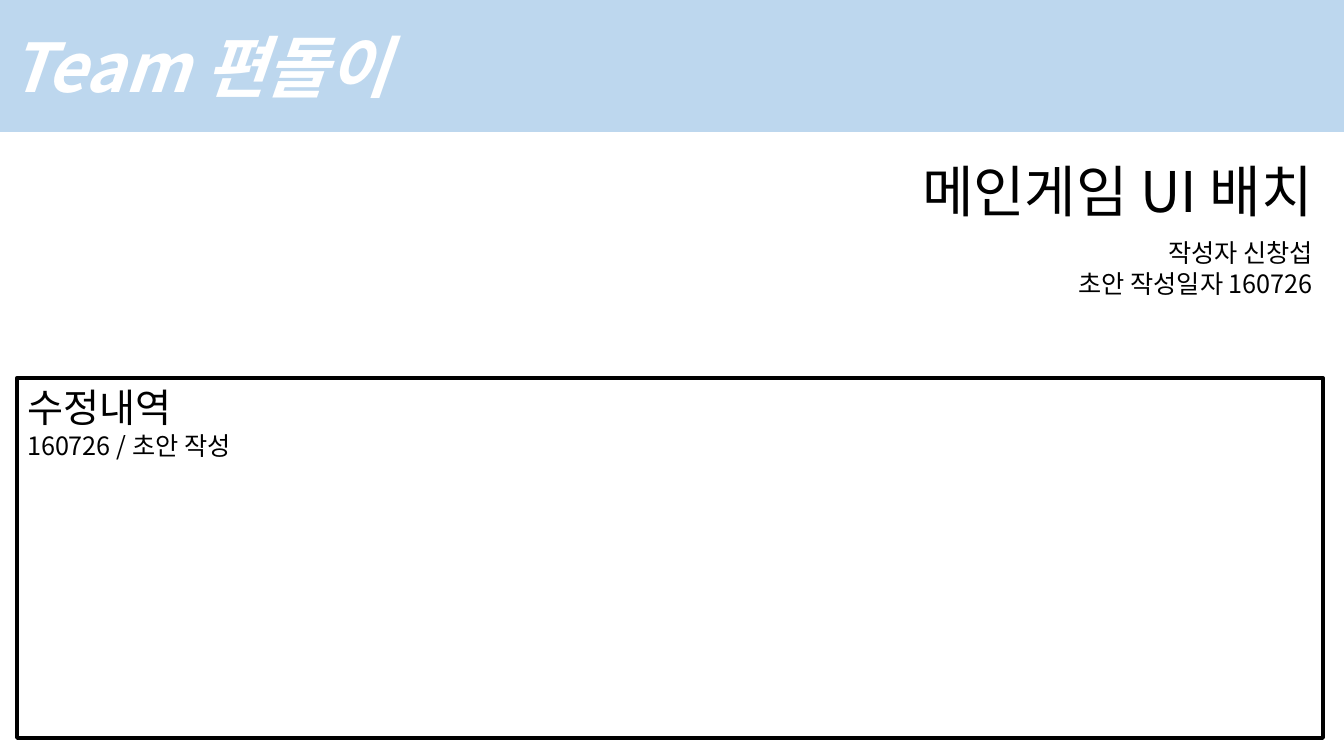
from pptx import Presentation
from pptx.dml.color import RGBColor
from pptx.enum.shapes import MSO_SHAPE as Shape
from pptx.enum.text import MSO_ANCHOR as Anchor, MSO_AUTO_SIZE as AutoSize, PP_ALIGN as Align
from pptx.oxml.ns import qn
from pptx.util import Inches, Pt
from lxml import etree

THEME = {
    "font": "Noto Sans CJK KR",
    "ink": RGBColor.from_string("000000"),
    "paper": RGBColor.from_string("FFFFFF"),
    "band": RGBColor.from_string("BDD7EE"),
    "team": 48, "title": 40, "heading": 28, "body": 18, "border": 3,
}

# Content: each line is its text and its type size role
TEAM = [("Team 편돌이", "team")]
TITLE = [("메인게임 UI 배치", "title")]
AUTHOR = [("작성자 신창섭", "body"), ("초안 작성일자 160726", "body")]
HISTORY = [("수정내역", "heading"), ("160726 / 초안 작성", "body")]

# Layout in inches: left, top, width, height
WIDTH, HEIGHT = 13.33, 7.5
RIGHT_EDGE = 13.12
BAND_BOX = (0, 0, WIDTH, 1.31)
TITLE_BOX = (RIGHT_EDGE - 4.51, 1.5, 4.51, 0.77)
AUTHOR_BOX = (RIGHT_EDGE - 2.72, 2.31, 2.72, 0.71)
HISTORY_BOX = (0.17, 3.75, RIGHT_EDGE - 0.17, 3.57)


def write(shape, lines, align, color="ink", anchor=Anchor.TOP, wrap=True, **style):
    frame = shape.text_frame
    frame_format = {"auto_size": AutoSize.NONE, "word_wrap": wrap, "vertical_anchor": anchor}
    for name, value in frame_format.items():
        setattr(frame, name, value)
    for index, (text, role) in enumerate(lines):
        paragraph = frame.paragraphs[0] if index == 0 else frame.add_paragraph()
        paragraph.alignment = align
        run = paragraph.add_run()
        run.text = text
        run.font.color.rgb = THEME[color]
        font_format = {"name": THEME["font"], "size": Pt(THEME[role]), **style}
        for name, value in font_format.items():
            setattr(run.font, name, value)
        # Hangul takes the East Asian typeface
        latin = run.font._element.find(qn("a:latin"))
        east_asian = etree.Element(qn("a:ea"), typeface=THEME["font"])
        latin.addnext(east_asian)


def add_box(box):
    shape = slide.shapes.add_shape(Shape.RECTANGLE, *map(Inches, box))
    shape.shadow.inherit = False
    return shape


presentation = Presentation()
presentation.slide_width, presentation.slide_height = Inches(WIDTH), Inches(HEIGHT)
slide = presentation.slides.add_slide(presentation.slide_layouts[5])

# Title
title = slide.shapes.title
for name, value in zip(("left", "top", "width", "height"), TITLE_BOX):
    setattr(title, name, Inches(value))
write(title, TITLE, Align.RIGHT, wrap=False)

# Author and date
author = slide.shapes.add_textbox(*map(Inches, AUTHOR_BOX))
write(author, AUTHOR, Align.RIGHT, wrap=False)

# Revision history frame
history = add_box(HISTORY_BOX)
history.fill.background()
history.line.color.rgb = THEME["ink"]
history.line.width = Pt(THEME["border"])
write(history, HISTORY, Align.LEFT)

# Team band
band = add_box(BAND_BOX)
band.fill.solid()
band.fill.fore_color.rgb = THEME["band"]
band.line.fill.background()
write(band, TEAM, Align.LEFT, "paper", Anchor.MIDDLE, bold=True, italic=True)

presentation.save("out.pptx")
